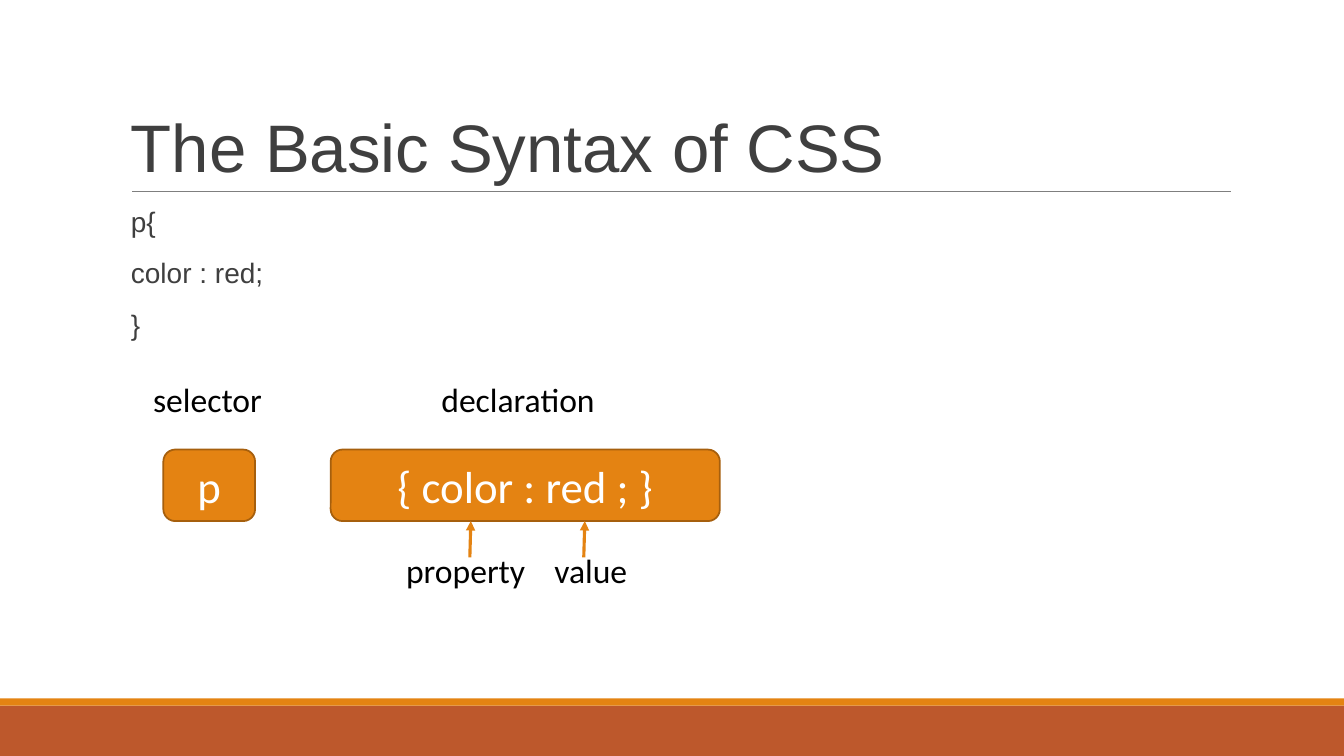
import lxml.etree
import pptx
import pptx.util
import pptx.dml.color
import pptx.enum.shapes
import pptx.enum.text
import pptx.oxml.ns

Inches = pptx.util.Inches
Pt = pptx.util.Pt
qn = pptx.oxml.ns.qn
SHAPE = pptx.enum.shapes.MSO_SHAPE
ALIGN = pptx.enum.text.PP_ALIGN
ANCHOR = pptx.enum.text.MSO_ANCHOR

COLORS = {
    "orange": "E48312", "rust": "BD582C", "edge": "A65F0D", "rule": "7F7F7F",
    "dark": "3F3F3F", "black": "000000", "white": "FFFFFF",
}
WIDTH, HEIGHT = 13.33, 7.5


def tint(name):
    return pptx.dml.color.RGBColor.from_string(COLORS[name])


def write(frame, text, size=24, font="Calibri", color="black", align=ALIGN.LEFT,
          anchor=ANCHOR.TOP, lead=1.0, gap=0):
    """Fill a text frame, one paragraph for each line of text."""
    frame.word_wrap = True
    frame.vertical_anchor = anchor
    for i, line in enumerate(text.split("\n")):
        para = frame.paragraphs[0] if i == 0 else frame.add_paragraph()
        para.alignment = align
        para.line_spacing = lead
        if i:
            para.space_before = Pt(gap)
        run = para.add_run()
        run.text = line
        run.font.size = Pt(size)
        run.font.name = font
        run.font.color.rgb = tint(color)


def label(slide, box, text, **style):
    area = slide.shapes.add_textbox(*map(Inches, box))
    write(area.text_frame, text, **style)


def block(slide, kind, box, fill, edge=None):
    shape = slide.shapes.add_shape(kind, *map(Inches, box))
    shape.shadow.inherit = False
    shape.fill.solid()
    shape.fill.fore_color.rgb = tint(fill)
    if edge:
        shape.line.color.rgb = tint(edge)
        shape.line.width = Pt(1.25)
    else:
        shape.line.fill.background()
    return shape


def stroke(slide, start, end, color, width, arrow=False):
    line = slide.shapes.add_connector(
        pptx.enum.shapes.MSO_CONNECTOR.STRAIGHT, *map(Inches, start + end))
    line.line.color.rgb = tint(color)
    line.line.width = Pt(width)
    props = line.element.find(qn("p:spPr"))
    if arrow:
        lxml.etree.SubElement(props.find(qn("a:ln")), qn("a:tailEnd"), type="triangle")
    lxml.etree.SubElement(props, qn("a:effectLst"))


def footer(slide, top):
    block(slide, SHAPE.RECTANGLE, (0, top + 0.07, WIDTH, HEIGHT - top - 0.07), "rust")
    block(slide, SHAPE.RECTANGLE, (0, top, WIDTH, 0.07), "orange")


def header(slide, left, top, width, height):
    base = top + height
    stroke(slide, (left + 0.11, base), (left + width + 0.01, base), "rule", 0.75)
    label(slide, (left, top, width, height), "The Basic Syntax of CSS", size=48,
          font="Arial", color="dark", anchor=ANCHOR.BOTTOM, lead=0.85)


def sample(slide, box):
    label(slide, box, "p{\ncolor : red;\n}", size=20, font="Arial", color="dark",
          lead=0.9, gap=15)


def diagram(slide, left, top):
    """Draw the rule's parts with their names above and below."""
    tall, row = 0.71, top + 0.75
    foot = row + tall
    for x, width, text in ((0.2, 0.91, "p"), (1.86, 3.86, "{ color : red ; }")):
        part = block(slide, SHAPE.ROUNDED_RECTANGLE, (left + x, row, width, tall),
                     "orange", "edge")
        write(part.text_frame, text, size=32, color="white", align=ALIGN.CENTER,
              anchor=ANCHOR.MIDDLE)
    for x, y, text in ((0, top, "selector"), (2.86, top, "declaration"),
                       (2.51, foot + 0.24, "property"), (3.98, foot + 0.24, "value")):
        label(slide, (left + x, y, 1.86, 0.5), text)
    for x in (left + 3.24, left + 4.37):
        stroke(slide, (x, foot + 0.36), (x + 0.01, foot), "orange", 2.25, arrow=True)


def main():
    deck = pptx.Presentation()
    deck.slide_width = Inches(WIDTH)
    deck.slide_height = Inches(HEIGHT)
    slide = deck.slides.add_slide(deck.slide_layouts[6])
    footer(slide, 6.93)
    header(slide, 1.2, 0.31, 11, 1.59)
    sample(slide, (1.2, 2.02, 11, 1.5))
    diagram(slide, 1.42, 3.71)
    deck.save("out.pptx")


if __name__ == "__main__":
    main()
